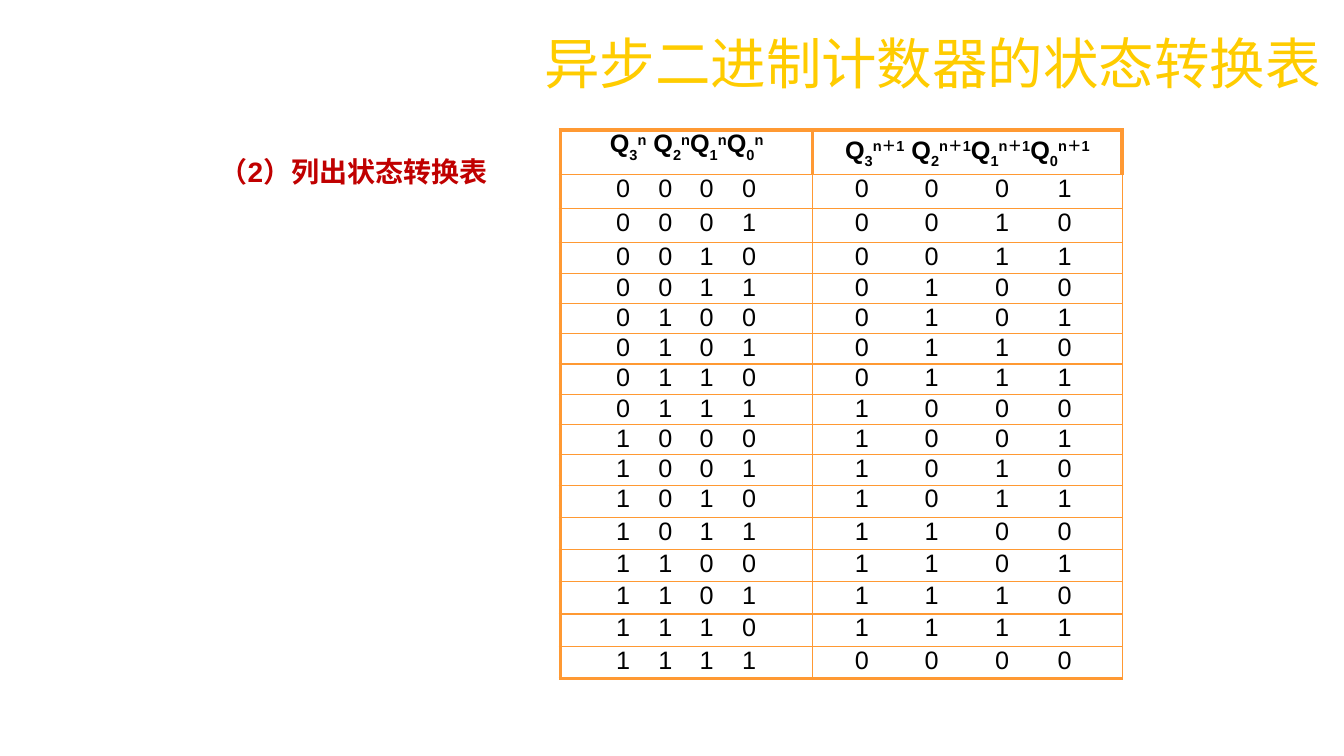
"""Build the slide with the state transition table of an asynchronous binary counter."""
from lxml import etree
from pptx import Presentation
from pptx.dml.color import RGBColor
from pptx.enum.text import MSO_ANCHOR, PP_ALIGN
from pptx.oxml.ns import qn
from pptx.util import Inches, Pt

CENTER = PP_ALIGN.CENTER
TOP, MIDDLE = MSO_ANCHOR.TOP, MSO_ANCHOR.MIDDLE

THEME = {
    "font": "Arial",
    "title": {"size": Pt(39.6), "color": "FFCC00", "bold": False},
    "label": {"size": Pt(20), "color": "C00000", "bold": True},
    "header": {"size": Pt(18), "color": "000000", "bold": True},
    "digits": {"size": Pt(18), "color": "000000", "bold": False},
    "border": "FF9933",
    "thin": Pt(1),
    "thick": Pt(3),
}


def add_span(para, text, style, baseline=0):
    """Append a styled run, raised or lowered by a baseline percentage."""
    span = para.add_run()
    span.text = text
    for name, value in {"name": THEME["font"], "size": style["size"], "bold": style["bold"]}.items():
        setattr(span.font, name, value)
    span.font.color.rgb = RGBColor.from_string(style["color"])
    if baseline:
        span.font._element.set("baseline", str(baseline * 1000))


def add_border(cell, side, width):
    """Draw one border of a table cell."""
    line = etree.SubElement(cell._tc.get_or_add_tcPr(), qn(f"a:ln{side}"), w=str(width))
    fill = etree.SubElement(line, qn("a:solidFill"))
    etree.SubElement(fill, qn("a:srgbClr"), val=THEME["border"])


deck = Presentation()
deck.slide_width, deck.slide_height = Inches(13.33), Inches(7.5)
page = deck.slides.add_slide(deck.slide_layouts[6])

TEXTS = [
    ("异步二进制计数器的状态转换表", "title", (5.3, 0.33, 8.03, 0.67), MIDDLE),
    ("（2）列出状态转换表", "label", (2.08, 1.52, 3.23, 0.4), TOP),
]
for text, style, place, anchor in TEXTS:
    box = page.shapes.add_textbox(*map(Inches, place))
    for name, value in {"word_wrap": True, "vertical_anchor": anchor}.items():
        setattr(box.text_frame, name, value)
    para = box.text_frame.paragraphs[0]
    para.line_spacing = 0.9
    add_span(para, text, THEME[style])

BITS = 4
STATES = 2 ** BITS
COLUMN_WIDTHS = [2.5, 3.07]
ROW_HEIGHTS = [0.44] + [0.34] * 2 + [0.3] * 8 + [0.32] * 6
DIGIT_STOPS = [[0.55, 0.97, 1.38, 1.8], [0.42, 1.11, 1.81, 2.43]]
EXPONENTS = ["n", "n＋1"]

frame = page.shapes.add_table(STATES + 1, 2, Inches(5.56), Inches(1.29), Inches(5.57), Inches(5.42))
table = frame.table
table.first_row = table.horz_banding = False
for column, width in zip(table.columns, COLUMN_WIDTHS):
    column.width = Inches(width)
for row, height in zip(table.rows, ROW_HEIGHTS):
    row.height = Inches(height)

for row in range(STATES + 1):
    for column in range(2):
        cell = table.cell(row, column)
        for side in ("left", "right", "top", "bottom"):
            setattr(cell, f"margin_{side}", 0)
        para = cell.text_frame.paragraphs[0]
        if row == 0:
            para.alignment = CENTER
            for bit in reversed(range(BITS)):
                add_span(para, " Q" if bit == 2 else "Q", THEME["header"])
                add_span(para, str(bit), THEME["header"], -30)
                add_span(para, EXPONENTS[column], THEME["header"], 30)
        else:
            stops = etree.SubElement(para._p.get_or_add_pPr(), qn("a:tabLst"))
            for stop in DIGIT_STOPS[column]:
                etree.SubElement(stops, qn("a:tab"), pos=str(Inches(stop)), algn="l")
            state = (row - 1 + column) % STATES
            digits = "".join(f"\t{digit}" for digit in f"{state:0{BITS}b}")
            add_span(para, digits, THEME["digits"])
        thick_sides = {
            "L": row == 0 or column == 0,
            "R": row == 0,
            "T": row == 0,
            "B": row == STATES,
        }
        for side, thick in thick_sides.items():
            add_border(cell, side, THEME["thick" if thick else "thin"])
        cell.fill.background()

deck.save("out.pptx")
